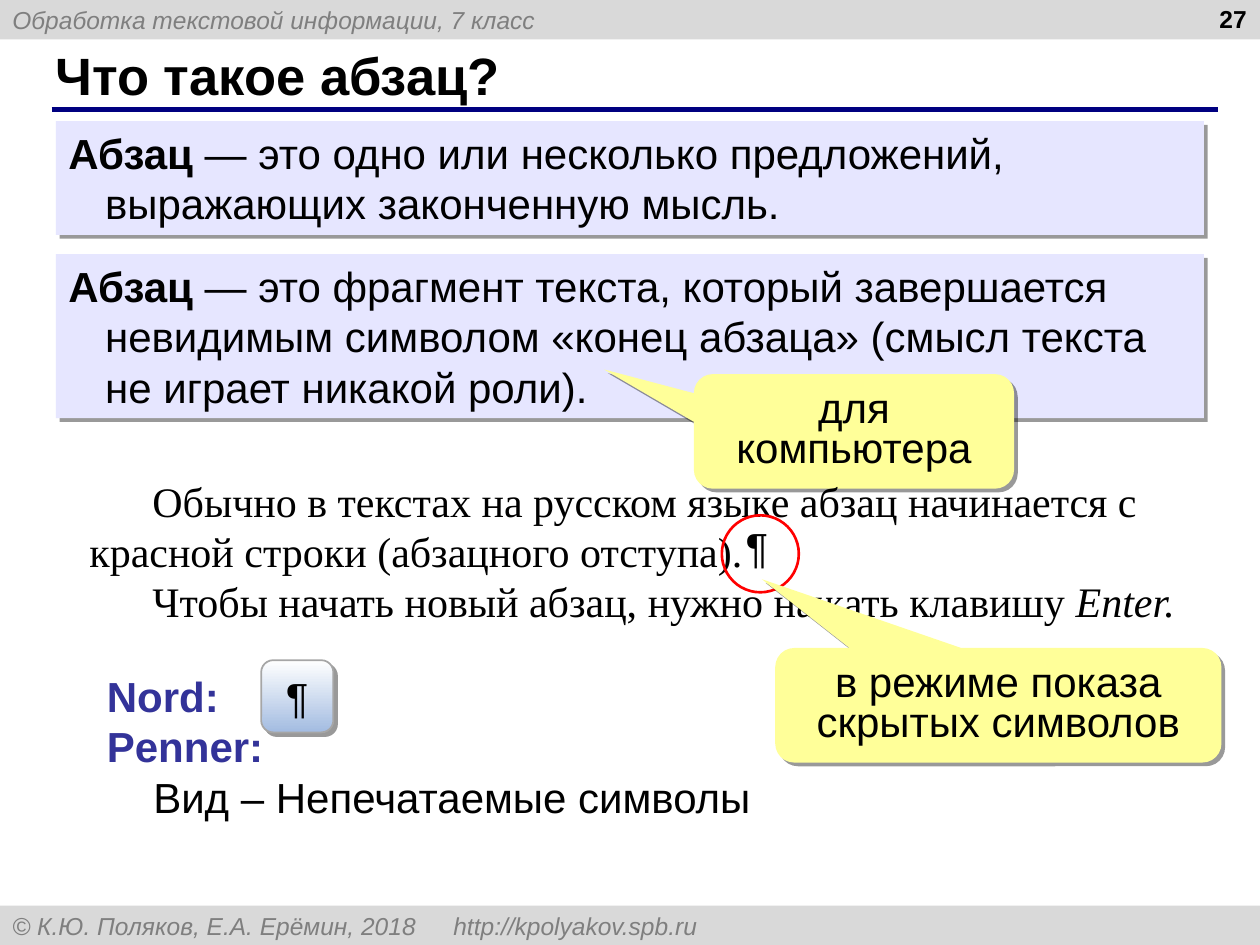
from dataclasses import dataclass

from lxml.etree import SubElement
from pptx import Presentation
from pptx.dml.color import RGBColor as RGB
from pptx.enum.shapes import MSO_CONNECTOR as CONNECTOR, MSO_SHAPE as SHAPE
from pptx.enum.text import MSO_ANCHOR as ANCHOR, MSO_AUTO_SIZE as AUTO_SIZE, PP_ALIGN as ALIGN
from pptx.oxml.ns import qn
from pptx.util import Pt


@dataclass(frozen=True)
class Theme:
    sans: str = "Arial"
    serif: str = "Times New Roman"
    title_size: int = 30
    body_size: int = 24
    small_size: int = 14
    black: RGB = RGB(0, 0, 0)
    band: RGB = RGB(0xD9, 0xD9, 0xD9)
    band_text: RGB = RGB(0x7F, 0x7F, 0x7F)
    rule: RGB = RGB(0, 0, 0x80)
    definition: RGB = RGB(0xE6, 0xE6, 0xFF)
    callout: RGB = RGB(0xFF, 0xFF, 0x99)
    program: RGB = RGB(0x33, 0x33, 0x99)
    ring: RGB = RGB(0xFF, 0, 0)
    key_top: RGB = RGB(0xFF, 0xFF, 0xFF)
    key_bottom: RGB = RGB(0xA3, 0xBC, 0xE1)
    key_edge: RGB = RGB(0xA6, 0xA6, 0xA6)


theme = Theme()
presentation = Presentation()
presentation.slide_width, presentation.slide_height = Pt(720), Pt(540)
slide = presentation.slides.add_slide(presentation.slide_layouts[5])


def add_box(kind, left, top, width, height, fill=None, shadow=False):
    """Add a preset shape, or a text box when kind is None."""
    box = [Pt(length) for length in (left, top, width, height)]
    if kind is None:
        shape = slide.shapes.add_textbox(*box)
        shape.text_frame.word_wrap = True
        return shape
    shape = slide.shapes.add_shape(kind, *box)
    shape.shadow.inherit = False
    shape.line.fill.background()
    if fill is None:
        shape.fill.background()
    else:
        shape.fill.solid()
        shape.fill.fore_color.rgb = fill
    if shadow:
        effects = shape._element.spPr.find(qn("a:effectLst"))
        outer = SubElement(effects, qn("a:outerShdw"), blurRad="0", dist=str(Pt(3)),
                           dir="2700000", algn="tl", rotWithShape="0")
        color = SubElement(outer, qn("a:srgbClr"), val="000000")
        SubElement(color, qn("a:alpha"), val="40000")
    return shape


def write(shape, paragraphs, size=theme.body_size, name=theme.sans, color=theme.black,
          bold=False, italic=False, align=ALIGN.LEFT, anchor=ANCHOR.TOP, spacing=None,
          left=0, indent=0):
    """Fill a shape; each paragraph is a list of (text, run font changes)."""
    frame = shape.text_frame
    frame.vertical_anchor = anchor
    for index, runs in enumerate(paragraphs):
        paragraph = frame.add_paragraph() if index else frame.paragraphs[0]
        paragraph.alignment, paragraph.line_spacing = align, spacing
        properties = paragraph._p.get_or_add_pPr()
        properties.set("marL", str(Pt(left)))
        properties.set("indent", str(Pt(indent)))
        font = paragraph.font
        font.size, font.name, font.bold, font.italic = Pt(size), name, bold, italic
        font.color.rgb = color
        for text, changes in runs:
            run = paragraph.add_run()
            run.text = text
            for key, value in changes.items():
                setattr(run.font, key, value)


# Header and footer bands
bands = [(0, "Обработка текстовой информации, 7 класс"),
         (517.5, "© К.Ю. Поляков, Е.А. Ерёмин, 2018\thttp://kpolyakov.spb.ru")]
for top, text in bands:
    band = add_box(SHAPE.RECTANGLE, 0, top, 720, 22.5, theme.band)
    write(band, [[(text, {})]], theme.small_size, color=theme.band_text,
          italic=True, anchor=ANCHOR.MIDDLE)
    properties = band.text_frame.paragraphs[0]._p.pPr
    tabs = properties.makeelement(qn("a:tabLst"), {})
    properties.find(qn("a:defRPr")).addprevious(tabs)
    SubElement(tabs, qn("a:tab"), pos=str(Pt(691.5)), algn="r")

# Title and rule
rule = slide.shapes.add_connector(CONNECTOR.STRAIGHT, Pt(29.5), Pt(62.5), Pt(696), Pt(62.5))
rule.line.color.rgb, rule.line.width = theme.rule, Pt(3)
SubElement(rule._element.spPr, qn("a:effectLst"))

title = slide.shapes.title
title.left, title.top, title.width, title.height = Pt(24.5), Pt(24), Pt(660), Pt(37)
title.text_frame.auto_size = AUTO_SIZE.NONE
write(title, [[("Что такое абзац?", {})]], theme.title_size, bold=True, anchor=ANCHOR.MIDDLE)

# Slide number
number = add_box(None, 551.5, -1.5, 168, 37)
write(number, [[("27", {})]], theme.small_size, bold=True, align=ALIGN.RIGHT)

# Definitions
definitions = [
    (69.25, 65, " — это одно или несколько предложений, выражающих законченную мысль."),
    (145.25, 93.75, " — это фрагмент текста, который завершается невидимым символом "
                    "«конец абзаца» (смысл текста не играет никакой роли)."),
]
for top, height, text in definitions:
    panel = add_box(SHAPE.RECTANGLE, 32, top, 656, height, theme.definition, shadow=True)
    write(panel, [[("Абзац", {"bold": True}), (text, {})]], left=21, indent=-21)

# Callouts, with the sample text and its ringed paragraph mark between them
callouts = [(396.5, 213.75, 183, (-0.78, -0.54), "для компьютера"),
            (443, 370.25, 255, (-0.53, -1.1), "в режиме показа скрытых символов")]
for index, (left, top, width, pointer, text) in enumerate(callouts):
    if index:
        sample = add_box(None, 44, 268, 647, 93.5)
        write(sample, [
            [("Обычно в текстах на русском языке абзац начинается с красной строки "
              "(абзацного отступа).", {})],
            [("Чтобы начать новый абзац, нужно нажать клавишу ", {}),
             ("Enter.", {"italic": True})],
        ], name=theme.serif, indent=36)

        ring = add_box(SHAPE.OVAL, 412.5, 294.5, 44, 44)
        ring.line.color.rgb, ring.line.width = theme.ring, Pt(1.5)
        mark = add_box(None, 419, 294.5, 27.5, 36)
        mark.text_frame.word_wrap = False
        write(mark, [[("¶", {})]])
    callout = add_box(SHAPE.ROUNDED_RECTANGULAR_CALLOUT, left, top, width, 65.5,
                      theme.callout, shadow=True)
    callout.adjustments[0], callout.adjustments[1] = pointer
    write(callout, [[(text, {})]], align=ALIGN.CENTER, anchor=ANCHOR.MIDDLE, spacing=0.8)

# Where to switch on hidden symbols
programs = add_box(None, 54, 379.5, 530, 93.5)
write(programs, [[("Nord:", {})], [("Penner:", {})]], color=theme.program, bold=True)
menu = programs.text_frame.add_paragraph()
menu.text = "Вид – Непечатаемые символы"
menu.font.size, menu.font.name = Pt(theme.body_size), theme.sans
menu.font.color.rgb = theme.black
menu._p.get_or_add_pPr().set("indent", str(Pt(26.5)))

# Paragraph mark key
key = add_box(SHAPE.ROUNDED_RECTANGLE, 149.25, 377.25, 41.25, 41.25, theme.key_top, shadow=True)
key.fill.gradient()
key.fill.gradient_angle = 270
for stop, color in zip(key.fill.gradient_stops, (theme.key_top, theme.key_bottom)):
    stop.color.rgb = color
key.line.color.rgb, key.line.width = theme.key_edge, Pt(1)
write(key, [[("¶", {})]], align=ALIGN.CENTER, anchor=ANCHOR.MIDDLE)

presentation.save("out.pptx")
